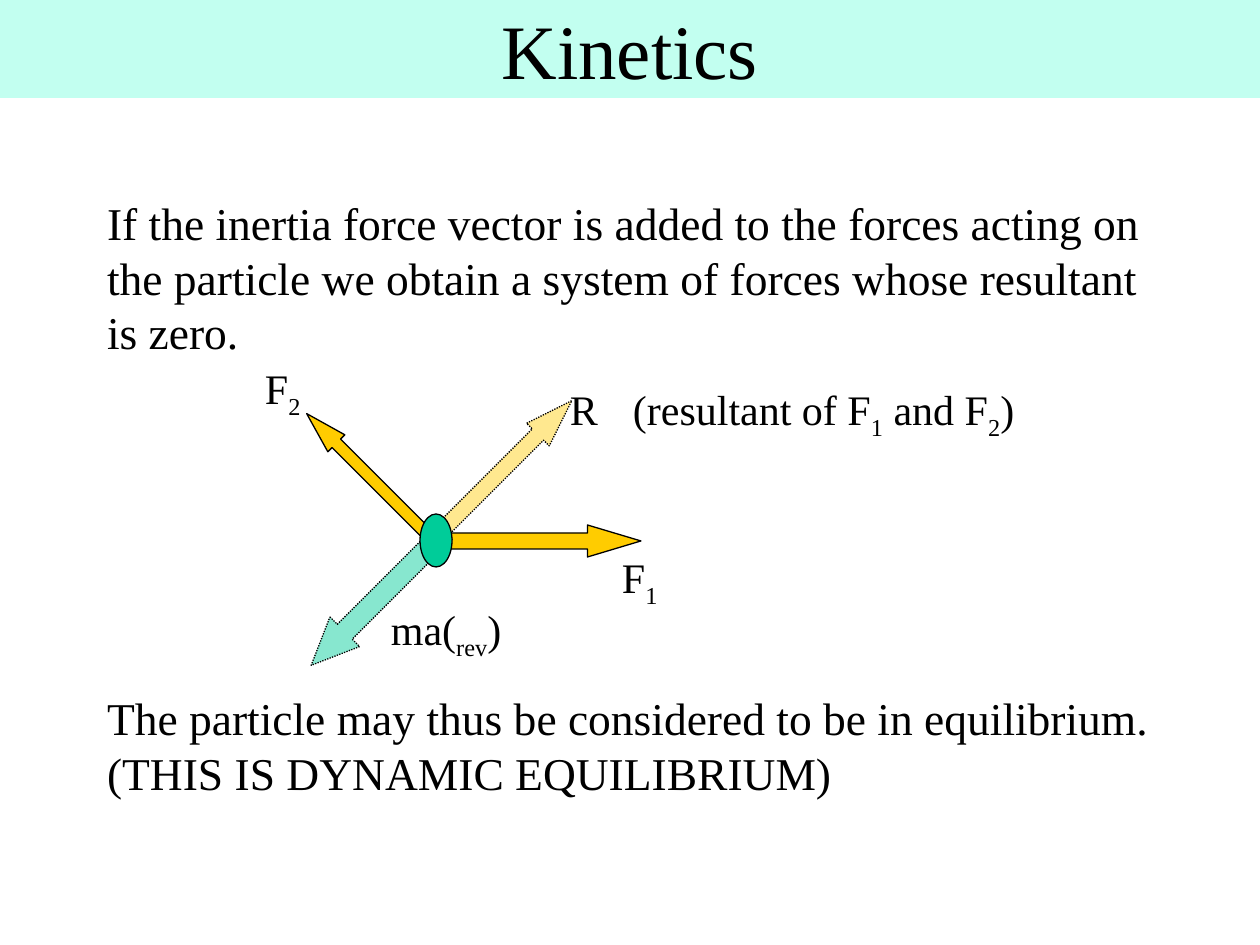
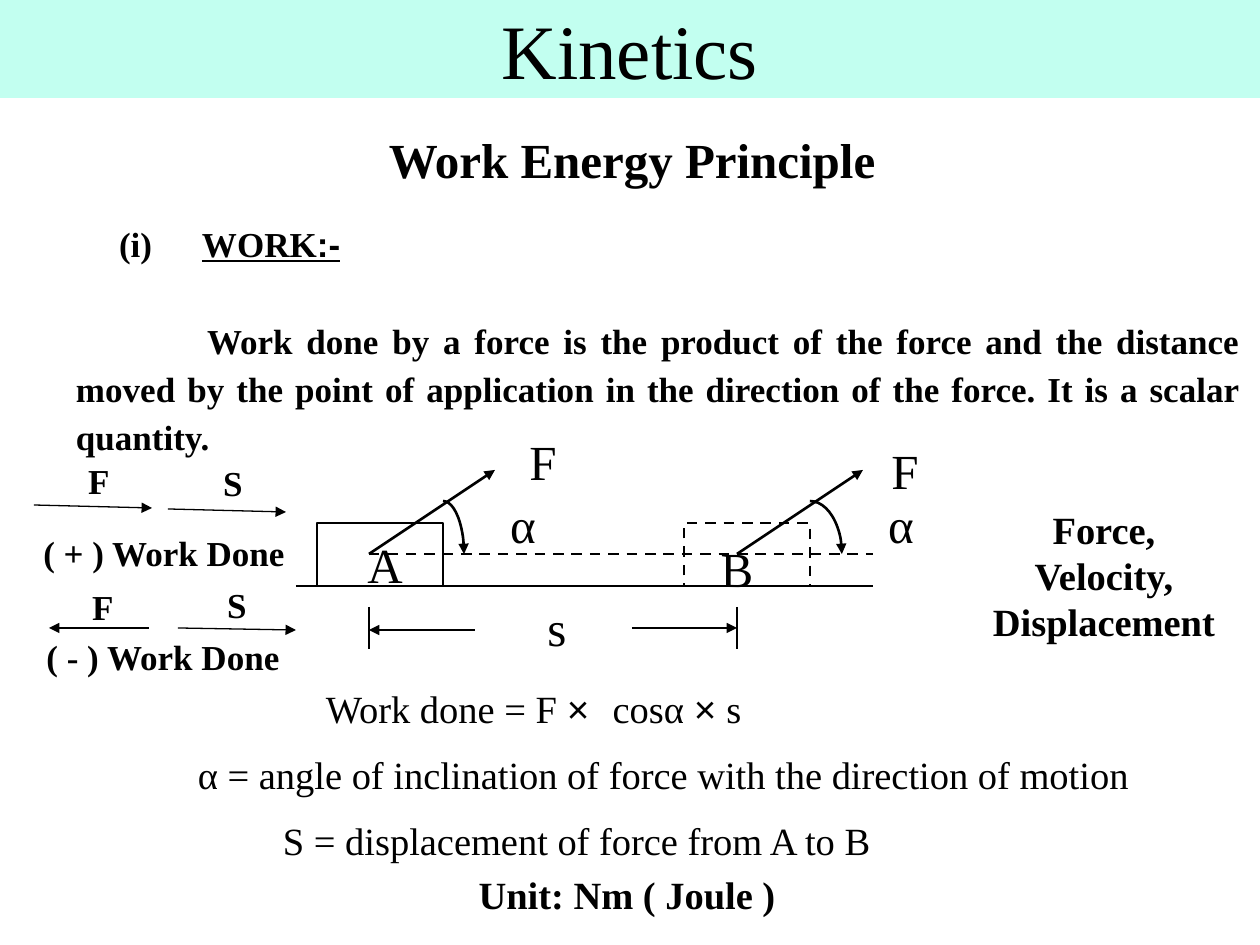
"""Build two Kinetics slides: dynamic equilibrium and the work energy principle."""
from lxml.etree import SubElement
from pptx import Presentation
from pptx.dml.color import RGBColor
from pptx.enum.dml import MSO_LINE as Dash
from pptx.enum.shapes import MSO_CONNECTOR as Link, MSO_SHAPE as Preset
from pptx.enum.text import MSO_ANCHOR as Anchor, PP_ALIGN as Align
from pptx.oxml.ns import qn
from pptx.util import Pt

EMU_PER_PX = 914400 / 126
WIDTH, HEIGHT, BAND_HEIGHT = 1260, 945, 98
COLORS = {"band": "C2FFF0", "ink": "000000", "force": "FFCC00", "particle": "00CC99"}
SERIF, SANS, MONO = "Times New Roman", "Arial", "Courier New"
SUB = {"sub": True}


def px(value):
    """Turn px into EMU."""
    return round(value * EMU_PER_PX)


def rgb(name):
    """Look up a colour by its role."""
    return RGBColor.from_string(COLORS[name])


def write_run(paragraph, text, size, bold, font=SERIF, underline=False, sub=False):
    """Add one formatted run to a paragraph."""
    run = paragraph.add_run()
    run.text = text
    run.font.name, run.font.size, run.font.bold = font, Pt(size), bold
    run.font.color.rgb = rgb("ink")
    if underline:
        run.font.underline = True
    if sub:
        run.font._element.set("baseline", "-25000")


def write(frame, text, size=24, bold=False, align=Align.LEFT, anchor=Anchor.TOP,
          spacing=None, indent=0, tab=None):
    """Fill a text frame with paragraphs, each a string or a list of pieces."""
    frame.word_wrap = True
    frame.vertical_anchor = anchor
    frame.margin_left = frame.margin_right = frame.margin_top = frame.margin_bottom = 0
    for index, content in enumerate(text):
        paragraph = frame.add_paragraph() if index else frame.paragraphs[0]
        paragraph.alignment = align
        if spacing:
            paragraph.line_spacing = spacing
        properties = paragraph._p.get_or_add_pPr()
        properties.set("marL", "0")
        properties.set("indent", str(px(indent)))
        if tab:
            stops = SubElement(properties, qn("a:tabLst"))
            SubElement(stops, qn("a:tab"), pos=str(px(tab)), algn="l")
        for piece in [content] if isinstance(content, str) else content:
            words, look = (piece, {}) if isinstance(piece, str) else piece
            write_run(paragraph, words, size, bold, **look)


def add_text(slide, left, top, width, height, *text, **look):
    """Place a text box whose arguments are its paragraphs."""
    box = slide.shapes.add_textbox(px(left), px(top), px(width), px(height))
    write(box.text_frame, text, **look)


def add_label(slide, center, top, text, width=60, **look):
    """Place a one-line label centred on an x position."""
    add_text(slide, center - width // 2, top, width, 50, text, align=Align.CENTER, **look)


def add_arrowhead(shape):
    """Put a triangle at the end of a line."""
    SubElement(shape._element.spPr.find(qn("a:ln")), qn("a:tailEnd"), type="triangle")


def style_line(line, weight, dash=None):
    """Give an outline its ink, weight and dash."""
    line.color.rgb = rgb("ink")
    line.width = Pt(weight)
    if dash:
        line.dash_style = dash


def add_figure(slide, preset, left, top, width, height, fill=None, opacity=None,
               weight=0.75, dash=None, rotation=0, head=None):
    """Draw a preset shape, with an optional block-arrow head length."""
    figure = slide.shapes.add_shape(preset, px(left), px(top), px(width), px(height))
    figure.shadow.inherit = False
    figure.rotation = rotation
    if head:
        figure.adjustments[0], figure.adjustments[1] = 0.5, head
    if fill:
        figure.fill.solid()
        figure.fill.fore_color.rgb = rgb(fill)
    else:
        figure.fill.background()
    if opacity:
        tint = figure._element.spPr.find(qn("a:solidFill"))[0]
        SubElement(tint, qn("a:alpha"), val=str(opacity * 1000))
    if weight:
        style_line(figure.line, weight, dash)
    else:
        figure.line.fill.background()
    return figure


def add_stroke(slide, x1, y1, x2, y2, weight=1.5, dash=None, arrow=False):
    """Draw a straight line or arrow."""
    stroke = slide.shapes.add_connector(Link.STRAIGHT, px(x1), px(y1), px(x2), px(y2))
    style_line(stroke.line, weight, dash)
    if arrow:
        add_arrowhead(stroke)
    SubElement(stroke._element.spPr, qn("a:effectLst"))


def add_angle(slide, center_x, center_y, radius_x, radius_y):
    """Draw a quarter arc ending in an arrowhead."""
    arc = add_figure(slide, Preset.ARC, center_x - radius_x, center_y - radius_y,
                     2 * radius_x, 2 * radius_y, weight=1.5)
    add_arrowhead(arc)


def add_kinetics_slide(deck):
    """Add a blank slide with the title band."""
    slide = deck.slides.add_slide(deck.slide_layouts[6])
    band = add_figure(slide, Preset.RECTANGLE, 0, 0, WIDTH, BAND_HEIGHT, "band", weight=0)
    write(band.text_frame, ["Kinetics"], size=44, align=Align.CENTER, anchor=Anchor.MIDDLE)
    return slide


def build_equilibrium(deck):
    """Show the forces on a particle and its reversed inertia force."""
    slide = add_kinetics_slide(deck)
    add_text(slide, 570, 384, 550, 50,
             ["R\t(resultant of F", ("1", SUB), " and F", ("2", SUB), ")"], tab=59)
    add_text(slide, 265, 363, 70, 50, ["F", ("2", SUB)])
    add_text(slide, 391, 604, 150, 50, ["ma(", ("rev", SUB), ")"])
    add_text(slide, 622, 552, 140, 50, ["F", ("1", SUB)])

    add_figure(slide, Preset.RIGHT_ARROW, 431, 525, 210, 32, "force", head=1.67)
    add_figure(slide, Preset.DOWN_ARROW, 354, 389, 24, 168, "force", rotation=135, head=1.75)
    add_figure(slide, Preset.DOWN_ARROW, 357, 504, 42, 189, "particle", opacity=47,
               dash=Dash.ROUND_DOT, rotation=45, head=1.13)
    add_figure(slide, Preset.UP_ARROW, 489, 373, 32, 189, "force", opacity=44,
               dash=Dash.ROUND_DOT, rotation=45, head=1.5)
    add_figure(slide, Preset.OVAL, 420, 514, 32, 53, "particle")

    add_text(slide, 107, 195, 1067, 165,
             "If the inertia force vector is added to the forces acting on the particle "
             "we obtain a system of forces whose resultant is zero.", size=26)
    add_text(slide, 107, 690, 1067, 110,
             "The particle may thus be considered to be in equilibrium. "
             "(THIS IS DYNAMIC EQUILIBRIUM)", size=26)


def draw_displacement(slide):
    """Draw the block moved from A to B by an inclined force."""
    ground, axis, start, end = 586, 554, 369, 737
    add_stroke(slide, 296, ground, 873, ground)
    for block_left, dash in ((317, None), (684, Dash.DASH)):
        add_figure(slide, Preset.RECTANGLE, block_left, 523, 126, 63, weight=1.5, dash=dash)
    add_stroke(slide, start, axis, 873, axis, dash=Dash.DASH)
    for point in (start, end):
        add_stroke(slide, point, axis, point + 126, 470, arrow=True)
        add_stroke(slide, point, 607, point, 649)
    add_angle(slide, 443, axis, 21, 53)
    add_angle(slide, 810, axis, 32, 53)
    add_stroke(slide, 475, 630, start, 630, arrow=True)
    add_stroke(slide, 632, 628, end, 628, arrow=True)
    for text, center, top in (("F", 543, 432), ("F", 905, 441), ("s", 557, 598),
                              ("α", 523, 495), ("α", 901, 495),
                              ("A", 385, 535), ("B", 737, 539)):
        add_label(slide, center, top, text, size=28)


def draw_signs(slide):
    """Compare force and displacement for positive and negative work."""
    for vector in ((34, 505, 152, 508), (168, 509, 286, 512),
                   (149, 628, 49, 628), (178, 628, 296, 630)):
        add_stroke(slide, *vector, weight=0.75, arrow=True)
    for text, center, top in (("F", 99, 460), ("S", 233, 462), ("( + ) Work Done", 164, 532),
                              ("F", 103, 586), ("S", 237, 584), ("( - ) Work Done", 163, 636)):
        add_label(slide, center, top, text, width=280, size=20, bold=True)


def build_work(deck):
    """Define work and show its formula."""
    slide = add_kinetics_slide(deck)
    add_label(slide, 632, 130, "Work Energy Principle", width=520, size=28, bold=True)
    add_text(slide, 76, 222, 1164, 42,
             ["(i)", ("\tWORK", {"underline": True}),
              (":-", {"underline": True, "font": SANS})],
             size=20, bold=True, indent=43, tab=103)
    add_text(slide, 76, 313, 1164, 144,
             "Work done by a force is the product of the force and the distance moved by "
             "the point of application in the direction of the force. It is a scalar quantity.",
             size=20, bold=True, align=Align.JUSTIFY, spacing=1.15, indent=131)
    draw_displacement(slide)
    draw_signs(slide)

    times = {"font": MONO}
    formulas = ((326, ["Work done = F ", ("× ", times), "cosα ", ("×", times), " s"]),
                (198, "α = angle of inclination of force with the direction of motion"),
                (283, "S = displacement of force from A to B"))
    for row, (left, formula) in enumerate(formulas):
        add_text(slide, left, 685 + 66 * row, 960, 46, formula, size=22)
    add_label(slide, 627, 871, "Unit: Nm ( Joule )", width=420, size=22, bold=True)
    add_text(slide, 984, 506, 240, 140, "Force, Velocity,", "Displacement",
             size=22, bold=True, align=Align.CENTER)


def main():
    """Build and save the deck."""
    deck = Presentation()
    deck.slide_width, deck.slide_height = px(WIDTH), px(HEIGHT)
    build_equilibrium(deck)
    build_work(deck)
    deck.save("out.pptx")


if __name__ == "__main__":
    main()
